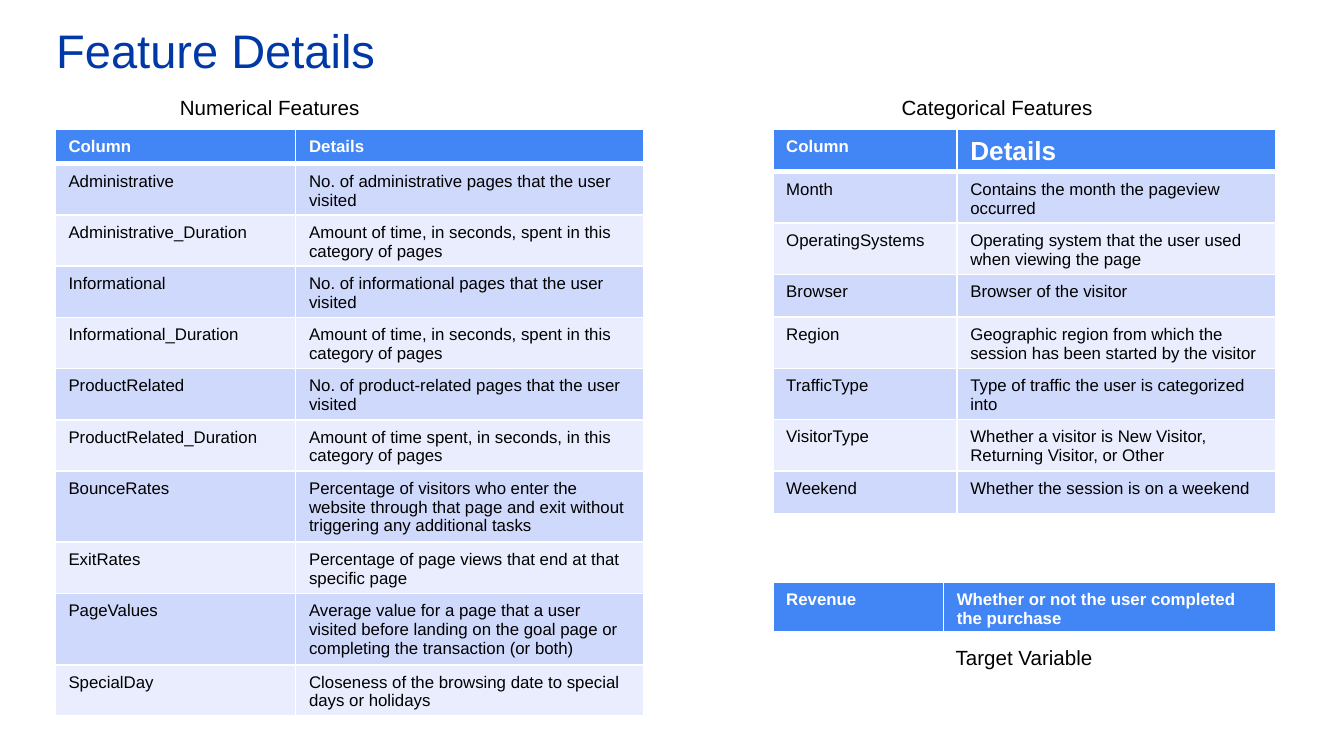
import pptx
import pptx.util
import pptx.dml.color
import pptx.enum.text
import pptx.oxml
import pptx.oxml.ns
from lxml import etree

Inches, Pt = pptx.util.Inches, pptx.util.Pt
ALIGN = pptx.enum.text.PP_ALIGN
qn = pptx.oxml.ns.qn

COLORS = {"title": "0039A6", "text": "000000", "white": "FFFFFF",
          "header": "4285F4", "odd": "CFD9FB", "even": "E9EDFD"}

NUMERICAL = [
    ("Column", "Details"),
    ("Administrative", "No. of administrative pages that the user visited"),
    ("Administrative_Duration", "Amount of time, in seconds, spent in this category of pages"),
    ("Informational", "No. of informational pages that the user visited"),
    ("Informational_Duration", "Amount of time, in seconds, spent in this category of pages"),
    ("ProductRelated", "No. of product-related pages that the user visited"),
    ("ProductRelated_Duration", "Amount of time spent, in seconds, in this category of pages"),
    ("BounceRates", "Percentage of visitors who enter the website through that page "
                    "and exit without triggering any additional tasks"),
    ("ExitRates", "Percentage of page views that end at that specific page"),
    ("PageValues", "Average value for a page that a user visited before landing on "
                   "the goal page or completing the transaction (or both)"),
    ("SpecialDay", "Closeness of the browsing date to special days or holidays"),
]
CATEGORICAL = [
    ("Column", "Details"),
    ("Month", "Contains the month the pageview occurred"),
    ("OperatingSystems", "Operating system that the user used when viewing the page"),
    ("Browser", "Browser of the visitor"),
    ("Region", "Geographic region from which the session has been started by the visitor"),
    ("TrafficType", "Type of traffic the user is categorized into"),
    ("VisitorType", "Whether a visitor is New Visitor, Returning Visitor, or Other"),
    ("Weekend", "Whether the session is on a weekend"),
]
TARGET = [("Revenue", "Whether or not the user completed the purchase")]


def rgb(name):
    return pptx.dml.color.RGBColor.from_string(COLORS[name])


def write(tf, text, size=9, color="text", bold=False, align=ALIGN.LEFT):
    p = tf.paragraphs[0]
    p.alignment = align
    r = p.add_run()
    r.text = text
    r.font.name = "Arial"
    r.font.size = Pt(size)
    r.font.bold = bold
    r.font.color.rgb = rgb(color)
    return p


def add_label(slide, box, text, inset=0.1, **fmt):
    """Add a wrapping text box and return its paragraph."""
    tf = slide.shapes.add_textbox(*map(Inches, box)).text_frame
    tf.word_wrap = True
    tf.margin_top = tf.margin_bottom = Inches(inset)
    return write(tf, text, **fmt)


def add_table_headings(slide, box, headings, stops):
    """Set the headings on one line, each at its own tab stop."""
    p = add_label(slide, box, "".join("\t" + h for h in headings), size=11)
    p.line_spacing = 1.15
    tabs = etree.SubElement(p._p.get_or_add_pPr(), qn("a:tabLst"))
    for stop in stops:
        etree.SubElement(tabs, qn("a:tab"), pos=str(Inches(stop)), algn="l")


def set_borders(cell, widths):
    """Draw white cell borders; widths maps a side (L, R, T, B) to points."""
    tcPr = cell._tc.get_or_add_tcPr()
    for side, width in widths.items():
        ln = etree.SubElement(tcPr, qn("a:ln" + side), w=str(Pt(width)))
        fill = etree.SubElement(ln, qn("a:solidFill"))
        etree.SubElement(fill, qn("a:srgbClr"), val=COLORS["white"])


def add_feature_table(slide, left, top, rows, col_widths, row_height, detail_size=9):
    """Add a two-column table whose first row is a header."""
    frame = slide.shapes.add_table(len(rows), 2, Inches(left), Inches(top),
                                   Inches(sum(col_widths)), Inches(row_height * len(rows)))
    table = frame.table
    table.first_row = table.horz_banding = False
    for col, width in zip(table.columns, col_widths):
        col.width = Inches(width)
    for i, texts in enumerate(rows):
        table.rows[i].height = Inches(row_height)
        header = i == 0
        fill = "header" if header else "odd" if i % 2 else "even"
        borders = {"L": 1, "R": 1, "T": 1, "B": 3} if header else {"L": 1, "R": 1, "B": 1}
        for j, text in enumerate(texts):
            cell = table.cell(i, j)
            cell.margin_top, cell.margin_bottom = Inches(0.06), Inches(0.02)
            set_borders(cell, borders)
            cell.fill.solid()
            cell.fill.fore_color.rgb = rgb(fill)
            write(cell.text_frame, text, size=detail_size if header and j else 9,
                  color="white" if header else "text", bold=header)


def add_target(slide, left, top):
    add_feature_table(slide, left, top, TARGET, (1.27, 2.47), 0.35)
    add_label(slide, (left, top + 0.42, 3.74, 0.29), "Target Variable",
              inset=0.05, size=11, align=ALIGN.CENTER)


def main():
    prs = pptx.Presentation()
    prs.slide_width = Inches(10)
    prs.slide_height = prs.slide_width * 9 // 16
    slide = prs.slides.add_slide(prs.slide_layouts[6])
    add_label(slide, (0.32, 0.06, 9.32, 0.63), "Feature Details", size=25.2, color="title")
    add_table_headings(slide, (0.32, 0.58, 9.4, 4.99),
                       ("Numerical Features", "Categorical Features"), (0.92, 6.29))
    add_feature_table(slide, 0.41, 0.96, NUMERICAL, (1.79, 2.59), 0.26)
    add_feature_table(slide, 5.75, 0.96, CATEGORICAL, (1.37, 2.37), 0.32, detail_size=14)
    add_target(slide, 5.75, 4.33)
    prs.save("out.pptx")


if __name__ == "__main__":
    main()
